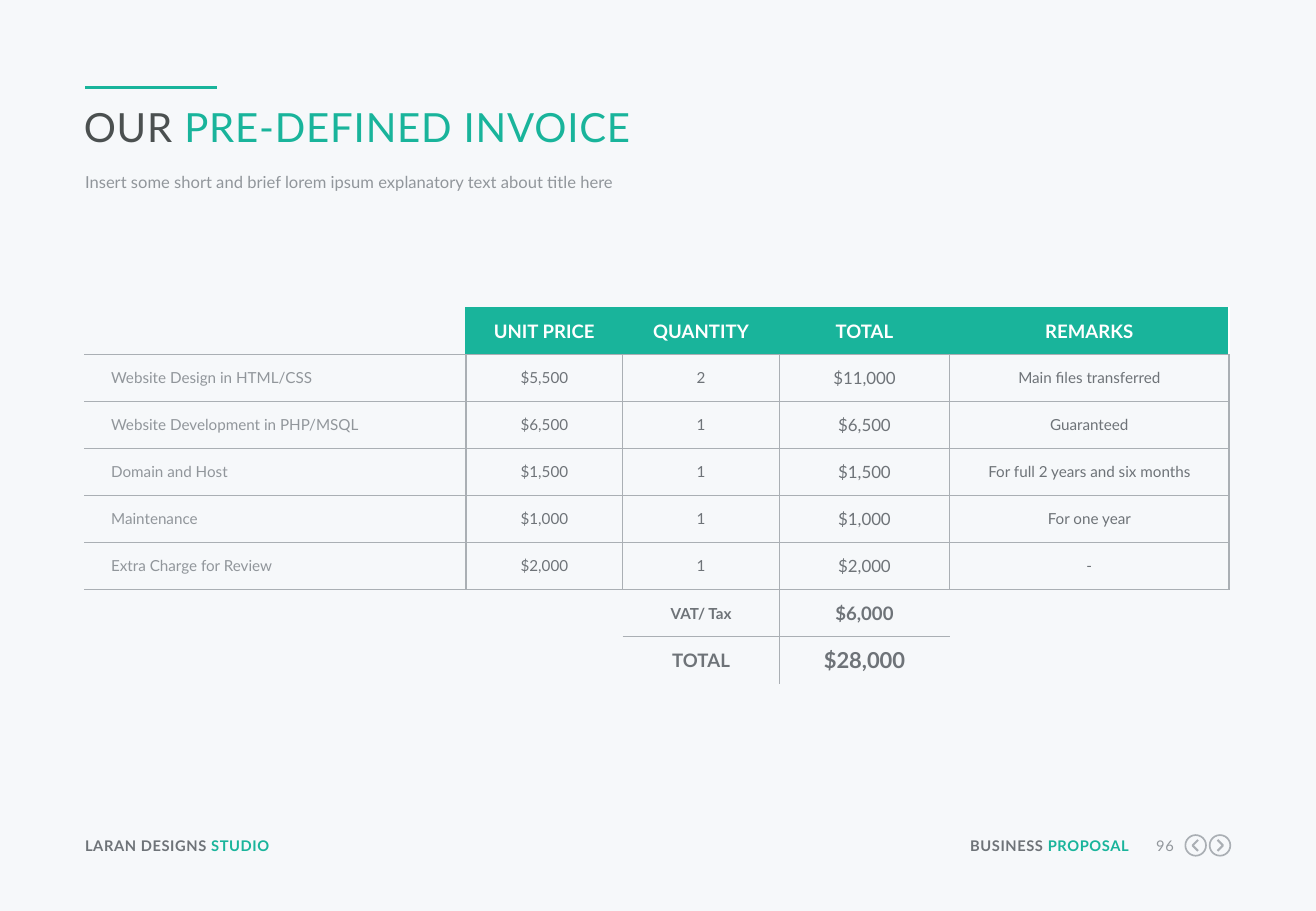
from lxml.etree import SubElement
from pptx import Presentation
from pptx.dml.color import RGBColor
from pptx.enum.shapes import MSO_CONNECTOR, MSO_SHAPE
from pptx.enum.text import MSO_ANCHOR, PP_ALIGN
from pptx.oxml.ns import qn
from pptx.util import Inches, Pt

COLORS = {
    "paper": "F6F8FA",
    "accent": "19B49B",
    "title": "4B5050",
    "strong": "6E7378",
    "soft": "91969B",
    "rule": "AAAFB4",
    "white": "FFFFFF",
}
GRID = Inches(0.1)
NO_STYLE = "{2D5ABB26-0587-4C30-8999-92F81FD0307C}"

HEADINGS = ["", "UNIT PRICE", "QUANTITY", "TOTAL", "REMARKS"]
ITEMS = [
    ["Website Design in HTML/CSS", "$5,500", "2", "$11,000", "Main files transferred"],
    ["Website Development in PHP/MSQL", "$6,500", "1", "$6,500", "Guaranteed"],
    ["Domain and Host", "$1,500", "1", "$1,500", "For full 2 years and six months"],
    ["Maintenance", "$1,000", "1", "$1,000", "For one year"],
    ["Extra Charge for Review", "$2,000", "1", "$2,000", "-"],
]
SUMS = [("VAT/ Tax", 9, "$6,000", 11), ("TOTAL", 11, "$28,000", 13)]
COLUMN_WIDTHS = [31.4, 12.9, 12.9, 14, 23]
ITEM_SIZES = [9, 9, 9, 10, 9]


def grid(steps):
    return round(steps * GRID)


def color(name):
    return RGBColor.from_string(COLORS[name])


def add_span(para, text, tone, size, bold=False, spacing=0):
    span = para.add_run()
    span.text = text
    for name, value in {"name": "Lato", "size": Pt(size), "bold": bold}.items():
        setattr(span.font, name, value)
    span.font.color.rgb = color(tone)
    if spacing:
        span._r.get_or_add_rPr().set("spc", str(round(spacing * 100)))


def add_text(page, area, spans, align=PP_ALIGN.LEFT, leading=None, **style):
    box = page.shapes.add_textbox(*map(grid, area))
    frame = box.text_frame
    margins = dict.fromkeys(
        ["margin_left", "margin_top", "margin_right", "margin_bottom"], 0)
    for name, value in {**margins, "word_wrap": True}.items():
        setattr(frame, name, value)
    para = frame.paragraphs[0]
    para.alignment = align
    para.line_spacing = leading
    for text, tone in spans:
        add_span(para, text, tone, **style)


def add_accent_line(page):
    line = page.shapes.add_connector(
        MSO_CONNECTOR.STRAIGHT, grid(7), grid(7.2), grid(17.9), grid(7.2))
    line.line.color.rgb = color("accent")
    line.line.width = Pt(2.25)
    SubElement(line._element.spPr, qn("a:effectLst"))


def outline(shape, width):
    shape.shadow.inherit = False
    shape.fill.background()
    shape.line.color.rgb = color("rule")
    shape.line.width = Pt(width)


def add_arrow_button(page, center, direction):
    middle, radius = 69.6, 0.85
    circle = page.shapes.add_shape(
        MSO_SHAPE.OVAL, grid(center - radius), grid(middle - radius),
        grid(2 * radius), grid(2 * radius))
    outline(circle, 1)
    back, tip = center - 0.2 * direction, center + 0.25 * direction
    builder = page.shapes.build_freeform(grid(back), grid(middle - 0.45))
    builder.add_line_segments(
        [(grid(tip), grid(middle)), (grid(back), grid(middle + 0.45))], close=False)
    outline(builder.convert_to_shape(), 1.25)


def set_borders(cell, edges):
    properties = cell._tc.get_or_add_tcPr()
    for side in "LRTB":
        line = SubElement(properties, qn("a:ln" + side), w=str(Pt(0.75)))
        if side in edges:
            fill = SubElement(line, qn("a:solidFill"))
            SubElement(fill, qn("a:srgbClr"), val=COLORS[edges[side]])
        else:
            SubElement(line, qn("a:noFill"))


def fill_cell(cell, text="", tone="strong", size=9, bold=False,
              align=PP_ALIGN.CENTER, indent=0, edges=None, back=None):
    settings = {
        "margin_left": grid(indent), "margin_right": 0, "margin_top": 0,
        "margin_bottom": 0, "vertical_anchor": MSO_ANCHOR.MIDDLE,
    }
    for name, value in settings.items():
        setattr(cell, name, value)
    set_borders(cell, edges or {})
    if back:
        cell.fill.solid()
        cell.fill.fore_color.rgb = color(back)
    else:
        cell.fill.background()
    if text:
        para = cell.text_frame.paragraphs[0]
        para.alignment = align
        add_span(para, text, tone, size, bold)


def rules(sides):
    return dict.fromkeys(sides, "rule")


def add_invoice(page):
    frame = page.shapes.add_table(
        len(ITEMS) + 3, len(HEADINGS), grid(6.95), grid(25.3),
        grid(sum(COLUMN_WIDTHS)), grid(31))
    table = frame.table
    table.first_row = table.horz_banding = False
    table._tbl.tblPr.find(qn("a:tableStyleId")).text = NO_STYLE
    for column, width in zip(table.columns, COLUMN_WIDTHS):
        column.width = grid(width)

    fill_cell(table.cell(0, 0), edges={"R": "accent", "B": "rule"})
    for column, heading in enumerate(HEADINGS[1:], 1):
        right = "white" if heading == HEADINGS[-1] else "accent"
        fill_cell(table.cell(0, column), heading, "white", 11, True, back="accent",
                  edges={"L": "accent", "R": right, "B": "rule"})

    for row, item in enumerate(ITEMS, 1):
        fill_cell(table.cell(row, 0), item[0], "soft", align=PP_ALIGN.LEFT,
                  indent=2.2, edges=rules("RTB"))
        for column in range(1, len(item)):
            fill_cell(table.cell(row, column), item[column],
                      size=ITEM_SIZES[column], edges=rules("LRTB"))

    first = len(ITEMS) + 1
    for row, (label, label_size, amount, amount_size) in enumerate(SUMS, first):
        bottom = "B" if row == first else ""
        top = rules("T") if row == first else {}
        for column in (0, 1, 4):
            fill_cell(table.cell(row, column), edges=top)
        fill_cell(table.cell(row, 2), label, size=label_size, bold=True,
                  edges=rules("RT" + bottom))
        fill_cell(table.cell(row, 3), amount, size=amount_size, bold=True,
                  edges=rules("LT" + bottom))
    table.cell(first, 0).merge(table.cell(first + 1, 1))
    table.cell(first, 4).merge(table.cell(first + 1, 4))


def add_footer(page):
    label = {"size": 8.7, "bold": True, "spacing": 0.3}
    add_text(page, (7, 68.9, 21.1, 1.5),
             [("LARAN DESIGNS ", "strong"), ("STUDIO", "accent")], **label)
    add_text(page, (77.2, 68.9, 15.7, 1.5),
             [("BUSINESS ", "strong"), ("PROPOSAL", "accent")],
             PP_ALIGN.RIGHT, **label)
    add_text(page, (94.1, 68.9, 2.5, 1.5), [("96", "soft")],
             PP_ALIGN.RIGHT, size=8.7, spacing=0.3)
    add_arrow_button(page, 98.4, -1)
    add_arrow_button(page, 100.4, 1)


def main():
    deck = Presentation()
    deck.slide_width, deck.slide_height = grid(108.3), grid(75)
    page = deck.slides.add_slide(deck.slide_layouts[6])
    page.background.fill.solid()
    page.background.fill.fore_color.rgb = color("paper")
    add_accent_line(page)
    add_footer(page)
    add_text(page, (6.9, 8.4, 94.2, 4.1),
             [("OUR ", "title"), ("PRE-DEFINED INVOICE", "accent")],
             size=23.8, spacing=0.5)
    add_text(page, (7, 14, 94.2, 2.1),
             [("Insert some short and brief lorem ipsum explanatory text about title here",
               "soft")], leading=Pt(13), size=9.8)
    add_invoice(page)
    deck.save("out.pptx")


if __name__ == "__main__":
    main()
